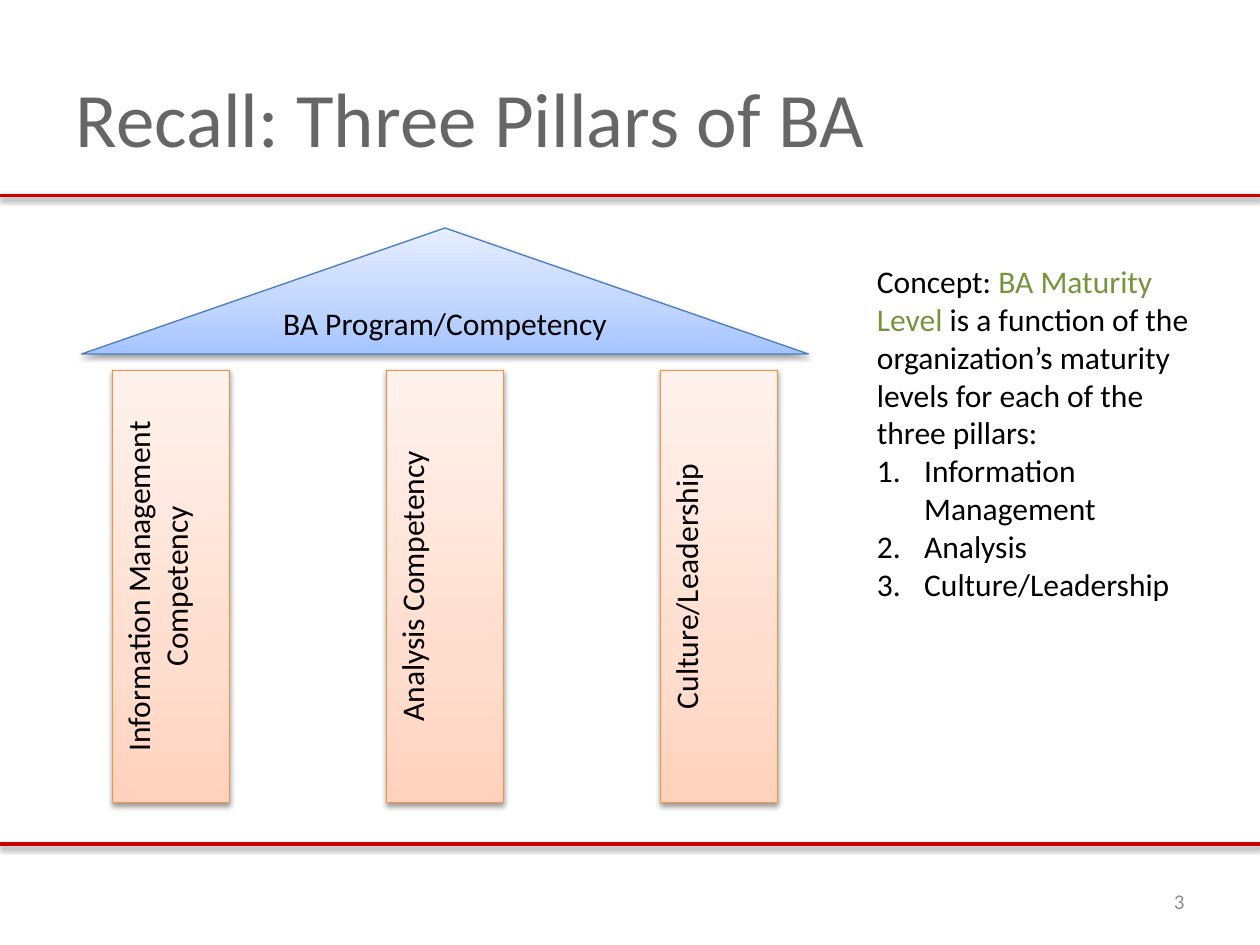
"""Build the slide on the three pillars of BA."""
import pptx
import pptx.dml.color
import pptx.enum.shapes
import pptx.enum.text
import pptx.oxml
import pptx.util

Pt = pptx.util.Pt
Kind = pptx.enum.shapes.MSO_SHAPE
Align = pptx.enum.text.PP_ALIGN
Anchor = pptx.enum.text.MSO_ANCHOR
NS = 'xmlns:a="http://schemas.openxmlformats.org/drawingml/2006/main"'


def tint(hue):
    return pptx.dml.color.RGBColor.from_string(hue)


def style(item, **vals):
    for key, val in vals.items():
        setattr(item, key, val)


deck = pptx.Presentation()
style(deck, slide_width=Pt(720), slide_height=Pt(540))
slide = deck.slides.add_slide(deck.slide_layouts[1])
title, body = slide.placeholders
cast = []

for y in (482.4, 111.6):
    rule = slide.shapes.add_connector(
        pptx.enum.shapes.MSO_CONNECTOR.STRAIGHT, Pt(0), Pt(y), Pt(720), Pt(y))
    rule.line.color.rgb = tint("CC0000")
    rule.line.width = Pt(2)
    cast.append(rule)

style(title, left=Pt(36), top=Pt(21.6), width=Pt(648), height=Pt(90))
title.text_frame.text = "Recall: Three Pillars of BA"
head = title.text_frame.paragraphs[0]
head.alignment = Align.LEFT
style(head.font, size=Pt(44), name="Calibri")
head.font.color.rgb = tint("666666")

page = slide.shapes.add_textbox(Pt(516), Pt(500.4), Pt(168), Pt(28.8))
style(page.text_frame, text="3", word_wrap=True, vertical_anchor=Anchor.MIDDLE)
mark = page.text_frame.paragraphs[0]
mark.alignment = Align.RIGHT
style(mark.font, size=Pt(12), name="Calibri")
mark.font.color.rgb = tint("8C8C8C")

names = ["Information Management Competency", "Analysis Competency", "Culture/Leadership"]
peach = ("FFD2BD", "FFDED0", "FFF2ED")
blue = ("A4C4FF", "BFD4FF", "E6EEFF")
parts = [(Kind.FLOWCHART_PROCESS, 64.2 + 156.6 * i, 211.6, 67, 247, name, peach, "F69240")
         for i, name in enumerate(names)]
parts.append((Kind.ISOSCELES_TRIANGLE, 46.6, 130.3, 415.4, 72,
              "BA Program/Competency", blue, "4B7EBC"))
for kind, x, y, w, h, text, hues, edge in parts:
    shape = slide.shapes.add_shape(kind, Pt(x), Pt(y), Pt(w), Pt(h))
    shape.fill.gradient()
    shape.fill.gradient_angle = 90
    stops = shape._element.spPr.find(".//{*}gsLst")
    stops.clear()
    for pos, hue in zip((0, 35, 100), hues):
        stops.append(pptx.oxml.parse_xml(
            f'<a:gs {NS} pos="{pos * 1000}"><a:srgbClr val="{hue}"/></a:gs>'))
    shape.line.color.rgb = tint(edge)
    shape.line.width = Pt(0.75)
    frame = shape.text_frame
    style(frame, text=text, word_wrap=True, vertical_anchor=Anchor.MIDDLE)
    if kind == Kind.FLOWCHART_PROCESS:
        frame.vertical_anchor = Anchor.TOP
        frame._txBody.bodyPr.set("vert", "vert270")
    label = frame.paragraphs[0]
    label.alignment = Align.CENTER
    style(label.font, size=Pt(18), name="Calibri")
    label.font.color.rgb = tint("000000")
    cast.append(shape)

for item in cast:
    item._element.spPr.append(pptx.oxml.parse_xml(
        f'<a:effectLst {NS}><a:outerShdw blurRad="{Pt(3.1)}" dist="{Pt(1.6)}" '
        'dir="5400000" rotWithShape="0"><a:srgbClr val="000000">'
        '<a:alpha val="38000"/></a:srgbClr></a:outerShdw></a:effectLst>'))

style(body, left=Pt(493.9), top=Pt(146.2), width=Pt(195.8), height=Pt(203.8))
frame = body.text_frame
style(frame, word_wrap=True, auto_size=pptx.enum.text.MSO_AUTO_SIZE.NONE,
      vertical_anchor=Anchor.TOP)
lines = [
    [("Concept: ", "000000"), ("BA Maturity Level", "77933C"),
     (" is a function of the organization’s maturity levels for each of the three pillars:",
      "000000")],
    [("Information Management", "000000")],
    [("Analysis", "000000")],
    [("Culture/Leadership", "000000")],
]
for i, line in enumerate(lines):
    para = frame.add_paragraph() if i else frame.paragraphs[0]
    para.space_before = Pt(0)
    props = para._p.get_or_add_pPr()
    dent = Pt(27) if i else 0
    props.set("marL", str(dent))
    props.set("indent", str(-dent))
    mark = 'buFont typeface="+mj-lt"', 'buAutoNum type="arabicPeriod"'
    for tag in mark if i else ("buNone",):
        props.append(pptx.oxml.parse_xml(f"<a:{tag} {NS}/>"))
    for text, hue in line:
        run = para.add_run()
        run.text = text
        style(run.font, size=Pt(18), name="Calibri")
        run.font.color.rgb = tint(hue)

deck.save("out.pptx")
